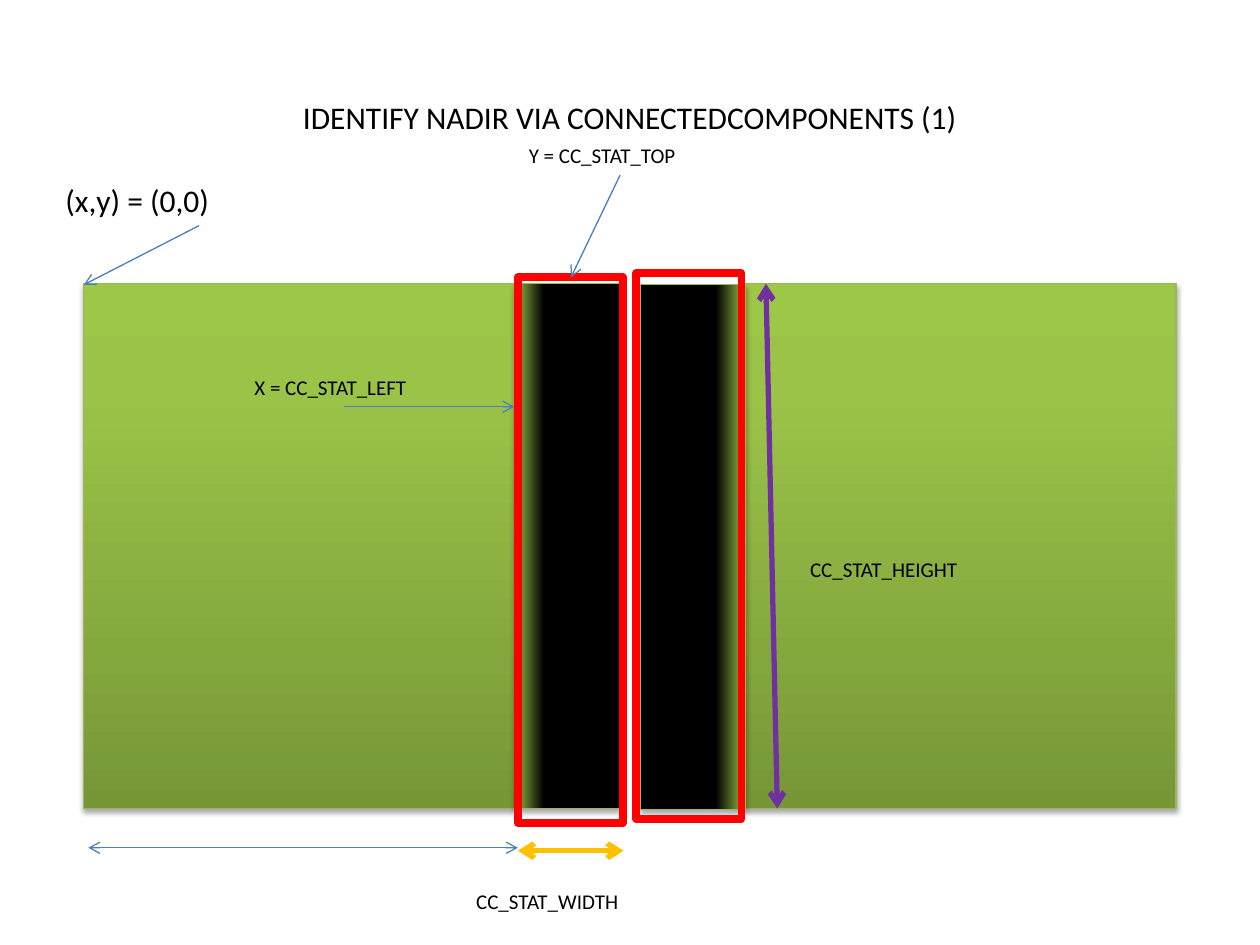
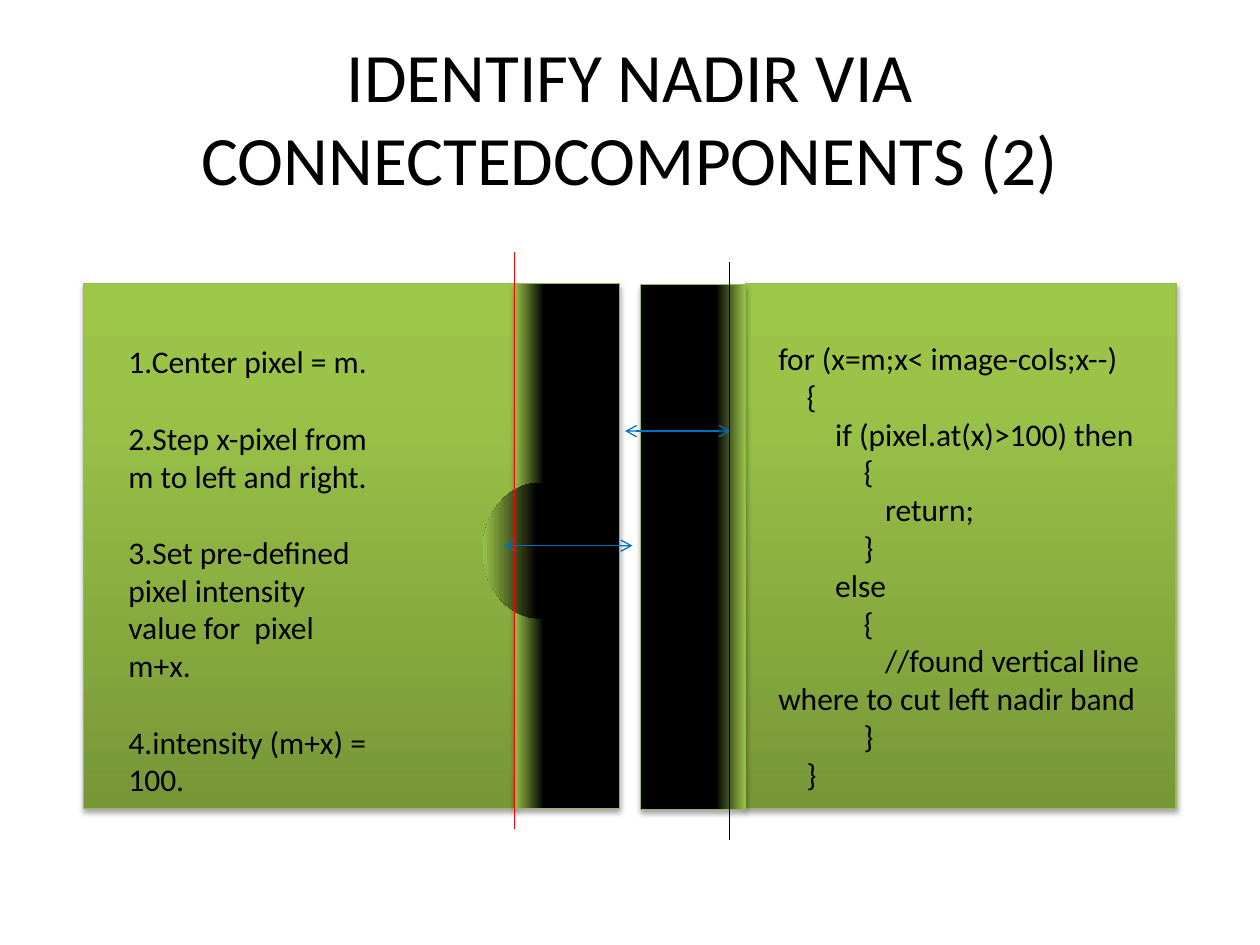
from pptx import Presentation
from pptx.dml.color import RGBColor
from pptx.enum.shapes import MSO_CONNECTOR, MSO_SHAPE
from pptx.enum.text import MSO_ANCHOR, MSO_AUTO_SIZE, PP_ALIGN
from pptx.oxml import parse_xml
from pptx.oxml.ns import nsdecls, qn
from pptx.util import Cm, Pt

RECTANGLE = MSO_SHAPE.RECTANGLE
OVAL = MSO_SHAPE.OVAL
STRAIGHT = MSO_CONNECTOR.STRAIGHT
MIDDLE = MSO_ANCHOR.MIDDLE
CENTER = PP_ALIGN.CENTER
LEFT = PP_ALIGN.LEFT
NO_AUTOFIT = MSO_AUTO_SIZE.NONE

BLACK = RGBColor(0x00, 0x00, 0x00)
RED = RGBColor(0xFF, 0x00, 0x00)
BLUE = RGBColor(0x4B, 0x7E, 0xBC)
STRONG_BLUE = RGBColor(0x00, 0x70, 0xC0)
AMBER = RGBColor(0xFF, 0xC0, 0x00)
PURPLE = RGBColor(0x70, 0x30, 0xA0)
EDGE_GREEN = RGBColor(0x98, 0xB9, 0x55)
DARK_GREEN = RGBColor(0x77, 0x97, 0x37)
GREEN = RGBColor(0x9B, 0xC3, 0x48)
LIGHT_GREEN = RGBColor(0x9D, 0xC7, 0x46)

FONT = "Calibri"
SLIDE_WIDTH, SLIDE_HEIGHT = 25.4, 19.05
PANEL_LEFT, PANEL_TOP = 1.69, 5.72
PANEL_WIDTH, PANEL_HEIGHT = 8.68, 10.58
BAND_LEFT, BAND_WIDTH = 10.37, 2.12
SPACE_WIDTH = 0.1435

PANEL_STOPS = [(0, DARK_GREEN), (80, GREEN), (100, LIGHT_GREEN)]
BAND_STOPS = [(72, BLACK), (100, GREEN), (100, LIGHT_GREEN)]
BULGE_STOPS = [(53, BLACK), (100, GREEN), (100, LIGHT_GREEN)]

STEPS = [
    "1.Center pixel = m.",
    "2.Step x-pixel from m to left and right.",
    "3.Set pre-defined pixel intensity value for  pixel m+x.",
    "4.intensity (m+x) = 100.",
]
CODE = [
    (0, "for (x=m;x< image-cols;x--)"),
    (4, "{"),
    (8, "if (pixel.at(x)>100) then"),
    (12, "{"),
    (15, "return;"),
    (12, "}"),
    (8, "else"),
    (12, "{"),
    (15, "//found vertical line where to cut left nadir band"),
    (12, "}"),
    (4, "}"),
]


def apply_format(target, values):
    for name, value in values.items():
        setattr(target, name, value)


def format_paragraph(paragraph, size, alignment=LEFT):
    paragraph.alignment = alignment
    apply_format(paragraph.font, {"name": FONT, "size": Pt(size)})
    paragraph.font.color.rgb = BLACK


def format_line(line, color, width):
    line.color.rgb = color
    line.width = Pt(width)


def set_title(slide, text, size):
    title = slide.shapes.title
    apply_format(title, {"left": Cm(1.27), "top": Cm(0.76),
                         "width": Cm(22.86), "height": Cm(3.18)})
    frame = title.text_frame
    frame.text = text
    apply_format(frame, {"word_wrap": True, "auto_size": NO_AUTOFIT,
                         "vertical_anchor": MIDDLE})
    format_paragraph(frame.paragraphs[0], size, CENTER)


def add_text(slide, box, lines, size=12):
    frame = slide.shapes.add_textbox(*map(Cm, box)).text_frame
    frame.word_wrap = True
    for number, line in enumerate(lines):
        paragraph = frame.paragraphs[0] if number == 0 else frame.add_paragraph()
        paragraph.text = line
        format_paragraph(paragraph, size)
    return frame.paragraphs


def add_label(slide, left, top, text):
    add_text(slide, (left, top, 4.17, 0.76), [text])


def add_plain_shape(slide, kind, box):
    shape = slide.shapes.add_shape(kind, *map(Cm, box))
    shape.shadow.inherit = False
    return shape


def set_gradient(shape, stops, angle):
    shape.fill.gradient()
    properties = shape.element.spPr
    stop_xml = "".join(
        f'<a:gs pos="{position * 1000}"><a:srgbClr val="{color}"/></a:gs>'
        for position, color in stops)
    gradient = parse_xml(
        f'<a:gradFill {nsdecls("a")} rotWithShape="1"><a:gsLst>{stop_xml}</a:gsLst>'
        f'<a:lin ang="{angle * 60000}" scaled="0"/></a:gradFill>')
    properties.replace(properties.find(qn("a:gradFill")), gradient)


def add_shadow(shape):
    shape.element.spPr.find(qn("a:effectLst")).append(parse_xml(
        f'<a:outerShdw {nsdecls("a")} blurRad="40000" dist="23000" dir="5400000" '
        'rotWithShape="0"><a:srgbClr val="000000"><a:alpha val="35000"/>'
        '</a:srgbClr></a:outerShdw>'))


def add_gradient_panel(slide, box, stops, angle):
    panel = add_plain_shape(slide, RECTANGLE, box)
    set_gradient(panel, stops, angle)
    format_line(panel.line, EDGE_GREEN, 0.75)
    add_shadow(panel)


def add_frame(slide, left, top):
    frame = add_plain_shape(slide, RECTANGLE, (left, top, BAND_WIDTH, 11))
    frame.fill.background()
    format_line(frame.line, RED, 4.5)


def add_line(slide, start, end, color, width=0.75, ends=()):
    connector = slide.shapes.add_connector(STRAIGHT, *map(Cm, start + end))
    format_line(connector.line, color, width)
    properties = connector.element.spPr
    outline = properties.find(qn("a:ln"))
    for end_name in ends:
        outline.append(parse_xml(f'<a:{end_name} {nsdecls("a")} type="arrow"/>'))
    properties.append(parse_xml(f'<a:effectLst {nsdecls("a")}/>'))


def add_arrow(slide, start, end, color=BLUE):
    add_line(slide, start, end, color, ends=("tailEnd",))


def add_double_arrow(slide, start, end, color=BLUE, width=0.75):
    add_line(slide, start, end, color, width, ("headEnd", "tailEnd"))


def add_nadir_view(slide):
    for left in (PANEL_LEFT, SLIDE_WIDTH - PANEL_LEFT - PANEL_WIDTH):
        add_gradient_panel(slide, (left, PANEL_TOP, PANEL_WIDTH, PANEL_HEIGHT),
                           PANEL_STOPS, 270)
    right_band = SLIDE_WIDTH - BAND_LEFT - BAND_WIDTH
    for left, top, angle in ((right_band, 5.74, 0), (BAND_LEFT, PANEL_TOP, 180)):
        add_gradient_panel(slide, (left, top, BAND_WIDTH, PANEL_HEIGHT),
                           BAND_STOPS, angle)


def start_slide(presentation, title, size):
    slide = presentation.slides.add_slide(presentation.slide_layouts[5])
    set_title(slide, title, size)
    add_nadir_view(slide)
    return slide


def build_statistics_slide(presentation):
    slide = start_slide(presentation, "IDENTIFY NADIR VIA CONNECTEDCOMPONENTS (1)", 18)
    add_double_arrow(slide, (1.78, 17.09), (10.44, 17.09))
    add_frame(slide, 10.44, 5.59)
    add_frame(slide, 12.83, 5.51)
    add_double_arrow(slide, (10.44, 17.15), (12.57, 17.15), AMBER, 3)
    add_label(slide, 4.88, 7.42, "X = CC_STAT_LEFT")
    add_arrow(slide, (6.93, 8.2), (10.37, 8.2))
    add_label(slide, 10.41, 2.74, "Y = CC_STAT_TOP")
    add_arrow(slide, (12.5, 3.53), (11.51, 5.59))
    add_label(slide, 9.35, 17.78, "CC_STAT_WIDTH")
    add_label(slide, 16.08, 11.1, "CC_STAT_HEIGHT")
    add_double_arrow(slide, (15.44, 5.72), (15.67, 16.3), PURPLE, 3)
    add_text(slide, (1.07, 3.53, 5.89, 1.02), ["(x,y) = (0,0)"], 18)
    add_arrow(slide, (4.01, 4.55), (1.69, 5.74))


def build_search_slide(presentation):
    slide = start_slide(presentation, "IDENTIFY NADIR VIA CONNECTEDCOMPONENTS (2)", 39.6)
    steps = add_text(slide, (2.34, 6.78, 5.51, 9.5), STEPS, 18)
    for paragraph in steps[1:]:
        paragraph.space_before = Pt(22)
    code_lines = add_text(slide, (15.44, 6.71, 9.32, 9.5),
                          [text for _, text in CODE], 18)
    for paragraph, (spaces, _) in zip(code_lines, CODE):
        properties = paragraph._p.get_or_add_pPr()
        properties.set("marL", "0")
        properties.set("indent", str(Cm(spaces * SPACE_WIDTH)))
    bulge = add_plain_shape(slide, OVAL, (9.73, 9.73, 2.34, 2.74))
    set_gradient(bulge, BULGE_STOPS, 180)
    bulge.line.fill.background()
    add_double_arrow(slide, (12.75, 11), (10.16, 11), STRONG_BLUE)
    add_double_arrow(slide, (12.6, 8.69), (14.73, 8.69), STRONG_BLUE)
    add_line(slide, (10.37, 5.08), (10.37, 16.71), RED)
    add_line(slide, (14.71, 5.28), (14.71, 16.94), BLACK)


def main():
    presentation = Presentation()
    presentation.slide_width = Cm(SLIDE_WIDTH)
    presentation.slide_height = Cm(SLIDE_HEIGHT)
    build_statistics_slide(presentation)
    build_search_slide(presentation)
    presentation.save("out.pptx")


if __name__ == "__main__":
    main()
